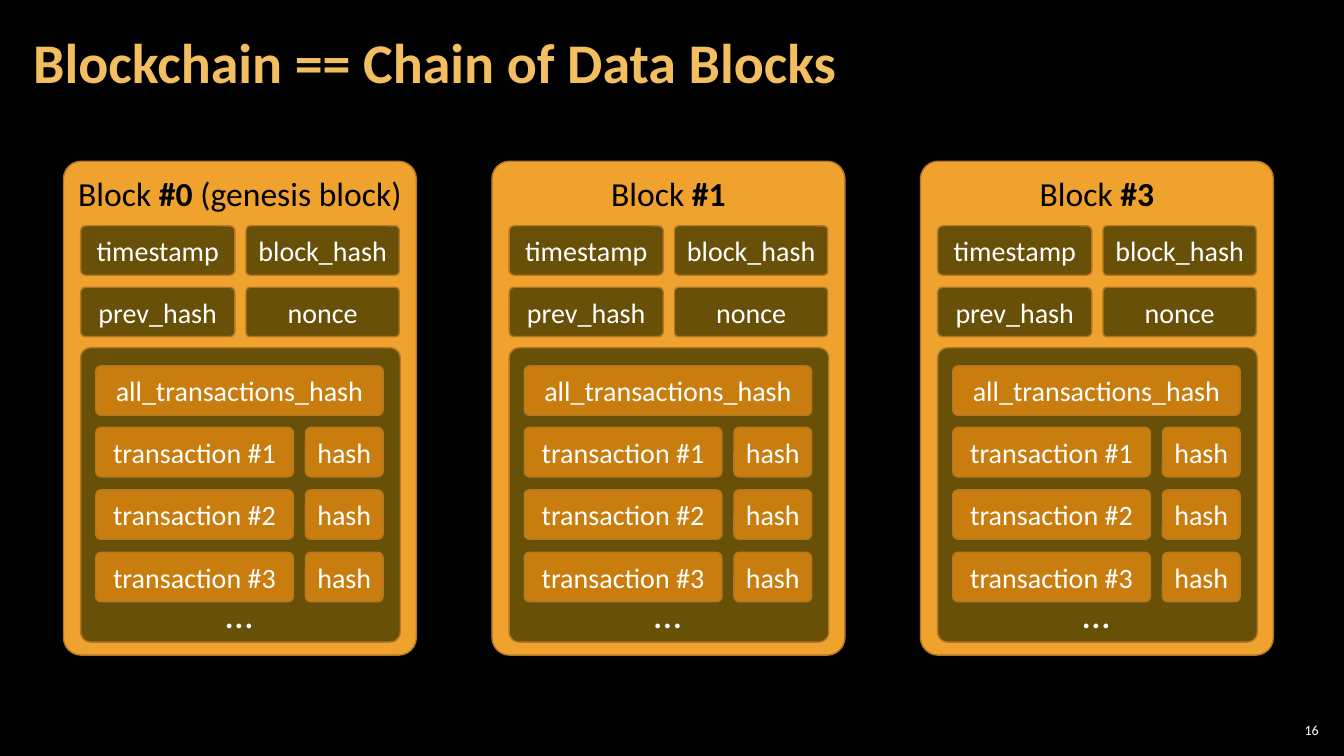
from pptx import Presentation
from pptx.dml.color import RGBColor
from pptx.enum.shapes import MSO_SHAPE
from pptx.enum.text import MSO_ANCHOR, MSO_AUTO_SIZE, PP_ALIGN
from pptx.util import Inches, Pt

ROUNDED = MSO_SHAPE.ROUNDED_RECTANGLE
TOP, MIDDLE = MSO_ANCHOR.TOP, MSO_ANCHOR.MIDDLE
LEFT, CENTER, RIGHT = PP_ALIGN.LEFT, PP_ALIGN.CENTER, PP_ALIGN.RIGHT
FIT_TEXT = MSO_AUTO_SIZE.SHAPE_TO_FIT_TEXT

COLORS = {
    "background": "000000",
    "title": "F3BE60",
    "block": "F0A22E",
    "field": "695008",
    "transaction": "C87D0E",
    "outline": "B27822",
    "light": "FFFFFF",
    "dark": "000000",
}
FONT = "Calibri"
ROW_HEIGHT = 0.49
BLOCK_LEFT, BLOCK_STEP = 0.63, 4.25
BLOCK_LABELS = [
    [("Block ", False), ("#0", True), (" (genesis block)", False)],
    [("Block ", False), ("#1", True)],
    [("Block ", False), ("#3", True)],
]
HEADER_ROWS = [("timestamp", "block_hash"), ("prev_hash", "nonce")]


class BlockchainSlide:
    """Draws blockchain blocks and text in one shared style on a page."""

    def __init__(self, page):
        self.page = page
        self.shapes = page.shapes
        page.background.fill.solid()
        page.background.fill.fore_color.rgb = self.color("background")

    def color(self, name):
        return RGBColor.from_string(COLORS[name])

    def style(self, span, size, color, bold=False):
        span.font.name = FONT
        span.font.size = Pt(size)
        span.font.bold = bold
        span.font.color.rgb = self.color(color)

    def text(self, left, top, width, height, spans, size, color,
             align=LEFT, anchor=TOP, side_inset=0.1, inset=0.05, wrap=True, fit=False):
        box = self.shapes.add_textbox(Inches(left), Inches(top), Inches(width), Inches(height))
        frame = box.text_frame
        frame.word_wrap = wrap
        frame.vertical_anchor = anchor
        frame.margin_left = frame.margin_right = Inches(side_inset)
        frame.margin_top = frame.margin_bottom = Inches(inset)
        if fit:
            frame.auto_size = FIT_TEXT
        para = frame.paragraphs[0]
        para.alignment = align
        for words, bold in spans:
            span = para.add_run()
            span.text = words
            self.style(span, size, color, bold)
        return para

    def panel(self, left, top, width, height, fill, rounding, label=""):
        box = self.shapes.add_shape(
            ROUNDED, Inches(left), Inches(top), Inches(width), Inches(height))
        box.shadow.inherit = False
        box.adjustments[0] = rounding
        box.fill.solid()
        box.fill.fore_color.rgb = self.color(fill)
        box.line.color.rgb = self.color("outline")
        box.line.width = Pt(1)
        if label:
            frame = box.text_frame
            frame.text = label
            frame.vertical_anchor = MIDDLE
            para = frame.paragraphs[0]
            para.alignment = CENTER
            self.style(para.runs[0], 20, "light")

    def block(self, left, label):
        self.shapes = self.page.shapes.add_group_shape().shapes
        self.panel(left, 1.6, 3.5, 4.9, "block", 0.05)
        self.text(left, 1.67, 3.5, 0.5, label, 24, "dark", align=CENTER, fit=True)
        for row, (first, second) in enumerate(HEADER_ROWS):
            top = 2.24 + 0.61 * row
            self.panel(left + 0.17, top, 1.53, ROW_HEIGHT, "field", 0.105, first)
            self.panel(left + 1.81, top, 1.52, ROW_HEIGHT, "field", 0.085, second)
        self.panel(left + 0.17, 3.45, 3.17, 2.92, "field", 0.034)
        self.panel(left + 0.32, 3.63, 2.85, ROW_HEIGHT, "transaction", 0.105,
                   "all_transactions_hash")
        for row in range(3):
            top = 4.24 + 0.62 * row
            self.panel(left + 0.32, top, 1.96, ROW_HEIGHT, "transaction", 0.105,
                       f"transaction #{row + 1}")
            self.panel(left + 2.4, top, 0.77, ROW_HEIGHT, "transaction", 0.105, "hash")
        self.text(left + 1.51, 5.8, 0.47, 0.57, [("…", False)], 28, "light",
                  wrap=False, fit=True)
        self.shapes = self.page.shapes


def main():
    deck = Presentation()
    deck.slide_width, deck.slide_height = Inches(13.33), Inches(7.5)
    slide = BlockchainSlide(deck.slides.add_slide(deck.slide_layouts[6]))
    slide.text(12.65, 7.14, 0.47, 0.21, [("16", False)], 10, "light",
               align=RIGHT, anchor=MIDDLE, side_inset=0.04, inset=0.04)
    title = slide.text(0.21, 0.04, 10.47, 1.21, [("Blockchain == Chain of Data Blocks", True)],
                       40, "title", anchor=MIDDLE, side_inset=0.12, inset=0.04)
    title.line_spacing = 0.9
    for index, label in enumerate(BLOCK_LABELS):
        slide.block(BLOCK_LEFT + BLOCK_STEP * index, label)
    deck.save("out.pptx")


if __name__ == "__main__":
    main()
